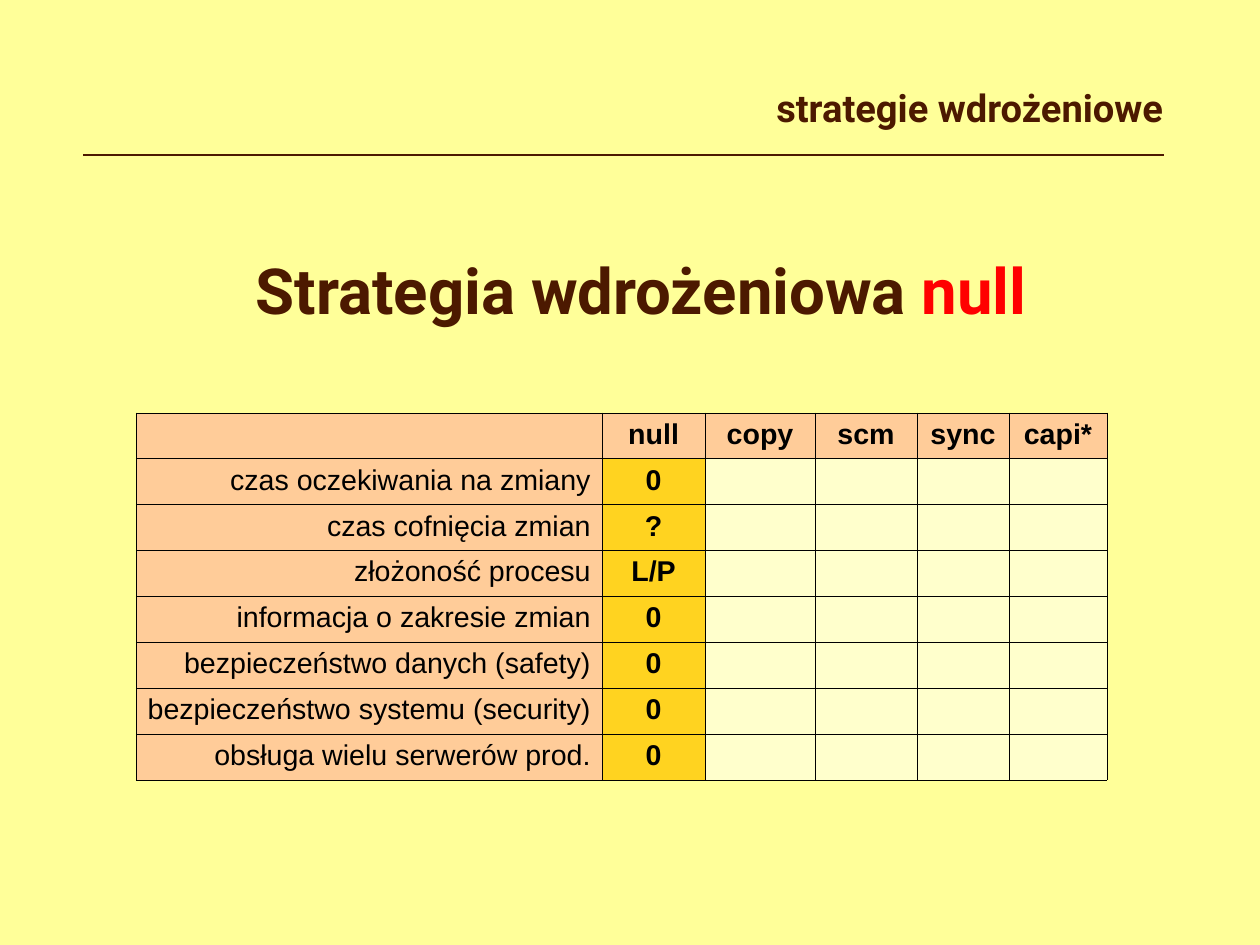
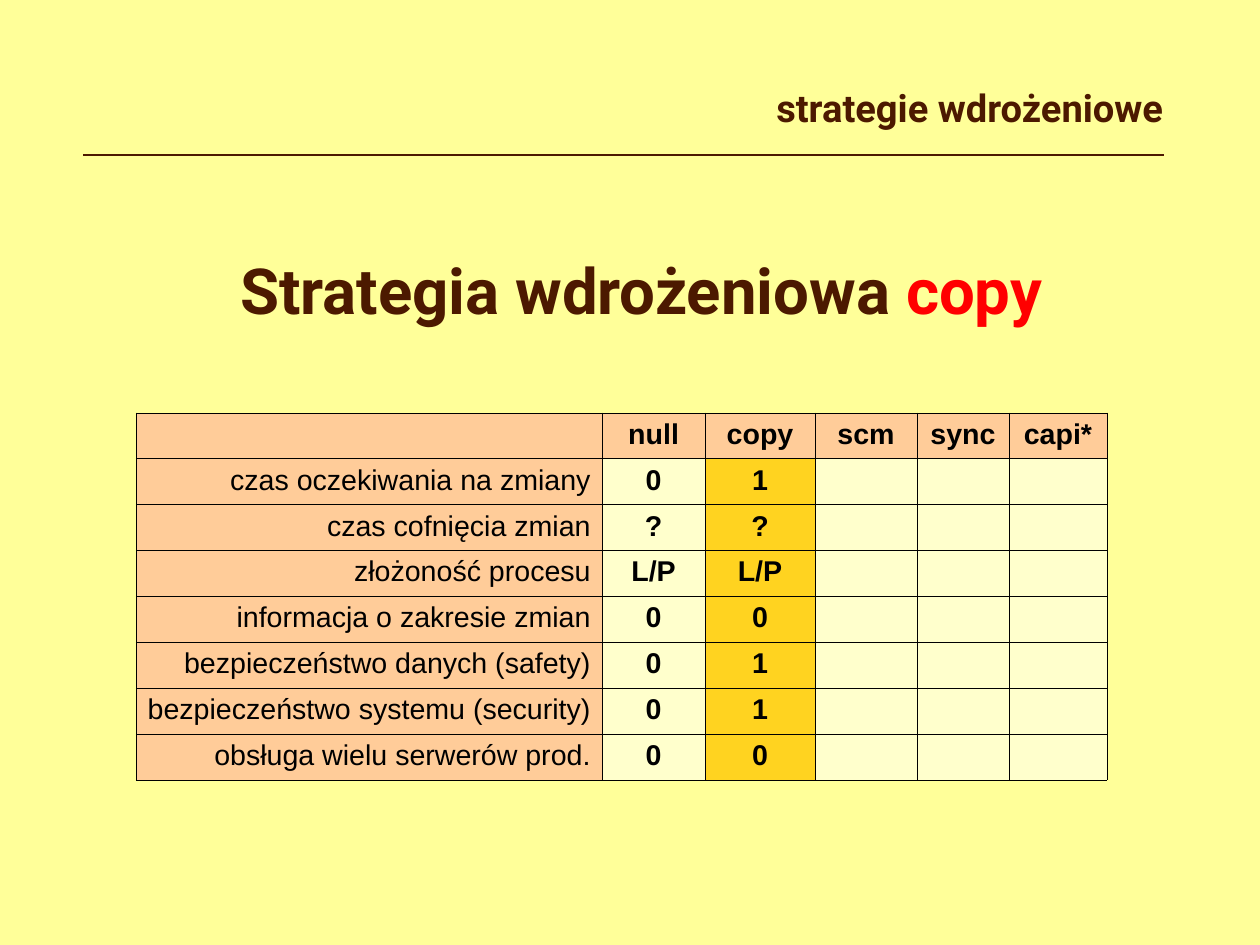
import pptx
import pptx.util
import pptx.dml.color
import pptx.enum.shapes
import pptx.enum.text
import pptx.oxml.ns
import lxml.etree

Cm, Pt = pptx.util.Cm, pptx.util.Pt
RGBColor = pptx.dml.color.RGBColor
ALIGN = pptx.enum.text.PP_ALIGN
qn = pptx.oxml.ns.qn

# Shared colours and fonts
YELLOW = RGBColor(0xFF, 0xFF, 0x99)
BROWN = RGBColor(0x4C, 0x19, 0x00)
RED = RGBColor(0xFF, 0x00, 0x00)
BLACK = RGBColor(0x00, 0x00, 0x00)
PEACH = RGBColor(0xFF, 0xCC, 0x99)
GOLD = RGBColor(0xFF, 0xD3, 0x20)
CREAM = RGBColor(0xFF, 0xFF, 0xCC)
HEAD, BODY = "Roboto", "Arial"

# Table contents: one list of marks per strategy
NAMES = ["null", "copy", "scm", "sync", "capi*"]
LABELS = [
    "czas oczekiwania na zmiany",
    "czas cofnięcia zmian",
    "złożoność procesu",
    "informacja o zakresie zmian",
    "bezpieczeństwo danych (safety)",
    "bezpieczeństwo systemu (security)",
    "obsługa wielu serwerów prod.",
]
MARKS = [
    ["0", "?", "L/P", "0", "0", "0", "0"],
    ["1", "?", "L/P", "0", "1", "1", "0"],
]
WIDTHS = [10.36, 2.29, 2.44, 2.27, 2.04, 2.18]
ROW = 1.02


def write(frame, align, parts, font, size, bold=True):
    """Fill the first paragraph with (text, colour) runs."""
    para = frame.paragraphs[0]
    para.alignment = align
    for text, color in parts:
        run = para.add_run()
        run.text = text
        run.font.name = font
        run.font.size = Pt(size)
        run.font.bold = bold
        run.font.color.rgb = color


def frame_cell(cell):
    """Draw a hairline on all four sides of a cell."""
    props = cell._tc.get_or_add_tcPr()
    for side in ("a:lnL", "a:lnR", "a:lnT", "a:lnB"):
        line = lxml.etree.SubElement(props, qn(side), w=str(Pt(0.06)))
        fill = lxml.etree.SubElement(line, qn("a:solidFill"))
        lxml.etree.SubElement(fill, qn("a:srgbClr"), val=str(BLACK))


prs = pptx.Presentation()
prs.slide_width, prs.slide_height = Cm(28), Cm(21)
back = prs.slide_master.background.fill
back.solid()
back.fore_color.rgb = YELLOW

for step in range(len(MARKS)):
    slide = prs.slides.add_slide(prs.slide_layouts[5])

    # Title with the strategy name in red
    title = slide.shapes.title
    title.left, title.top = Cm(3.5), Cm(5.44)
    title.width, title.height = Cm(21.5), Cm(2.72)
    title.text_frame.auto_size = pptx.enum.text.MSO_AUTO_SIZE.NONE
    title.text_frame.vertical_anchor = pptx.enum.text.MSO_ANCHOR.TOP
    parts = [("Strategia wdrożeniowa ", BROWN), (NAMES[step], RED)]
    write(title.text_frame, ALIGN.CENTER, parts, HEAD, 40)

    # Section header and rule
    box = slide.shapes.add_textbox(Cm(7.6), Cm(1.75), Cm(18.5), Cm(1.75))
    box.text_frame.word_wrap = True
    write(box.text_frame, ALIGN.RIGHT, [("strategie wdrożeniowe", BROWN)], HEAD, 24)
    rule = slide.shapes.add_connector(
        pptx.enum.shapes.MSO_CONNECTOR.STRAIGHT,
        Cm(1.85), Cm(3.45), Cm(25.86), Cm(3.45))
    rule.line.color.rgb = BROWN
    rule.line.width = Pt(1.42)
    lxml.etree.SubElement(rule._element.spPr, qn("a:effectLst"))

    # Comparison table, filled up to the current strategy
    count = len(LABELS) + 1
    table = slide.shapes.add_table(
        count, len(WIDTHS), Cm(3.02), Cm(9.17),
        Cm(sum(WIDTHS)), Cm(ROW * count)).table
    table.first_row = table.horz_banding = False
    for col, width in zip(table.columns, WIDTHS):
        col.width = Cm(width)
    rows = [[""] + NAMES]
    for i, label in enumerate(LABELS):
        marks = [MARKS[k][i] if k <= step else "" for k in range(len(NAMES))]
        rows.append([label] + marks)
    for r, row in enumerate(rows):
        table.rows[r].height = Cm(ROW)
        for c, text in enumerate(row):
            cell = table.cell(r, c)
            frame_cell(cell)
            cell.fill.solid()
            if r == 0 or c == 0:
                cell.fill.fore_color.rgb = PEACH
            else:
                cell.fill.fore_color.rgb = GOLD if c == step + 1 else CREAM
            if text:
                align = ALIGN.CENTER if c else ALIGN.RIGHT
                write(cell.text_frame, align, [(text, BLACK)], BODY, 18, c > 0)
            else:
                # A small size keeps empty cells from stretching the row
                para = cell.text_frame.paragraphs[0]._p
                lxml.etree.SubElement(para, qn("a:endParaRPr"), sz="1400")

prs.save("out.pptx")
